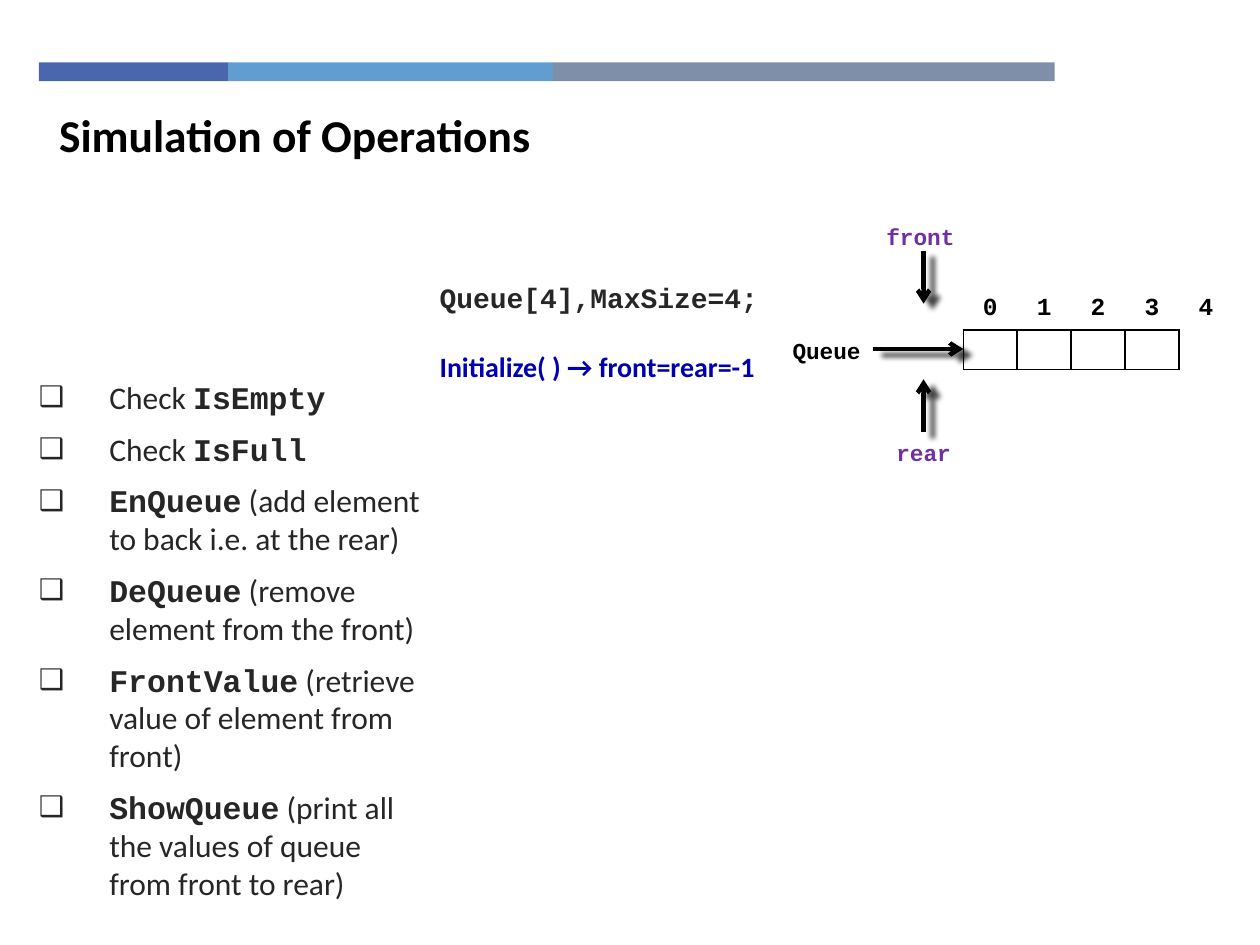
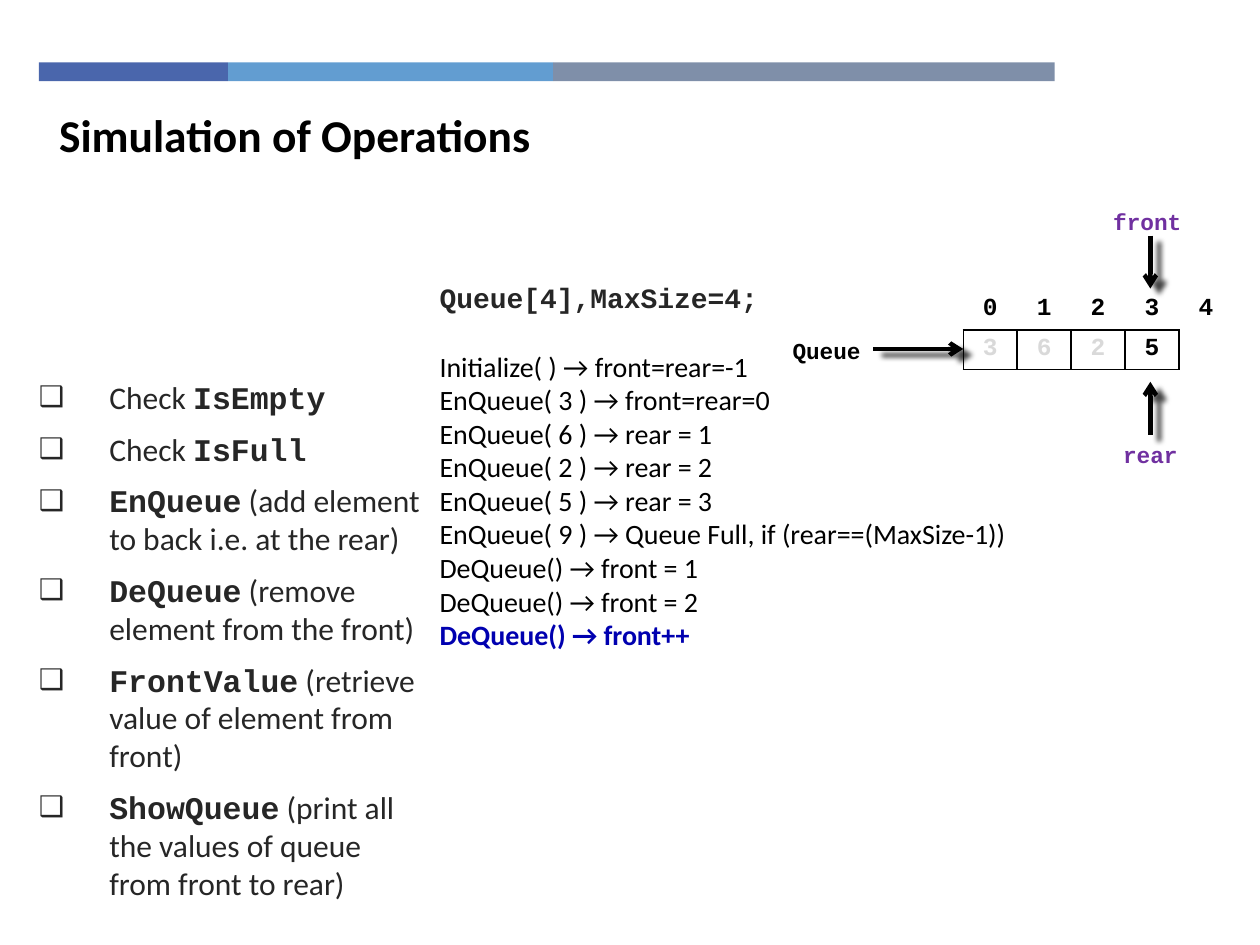
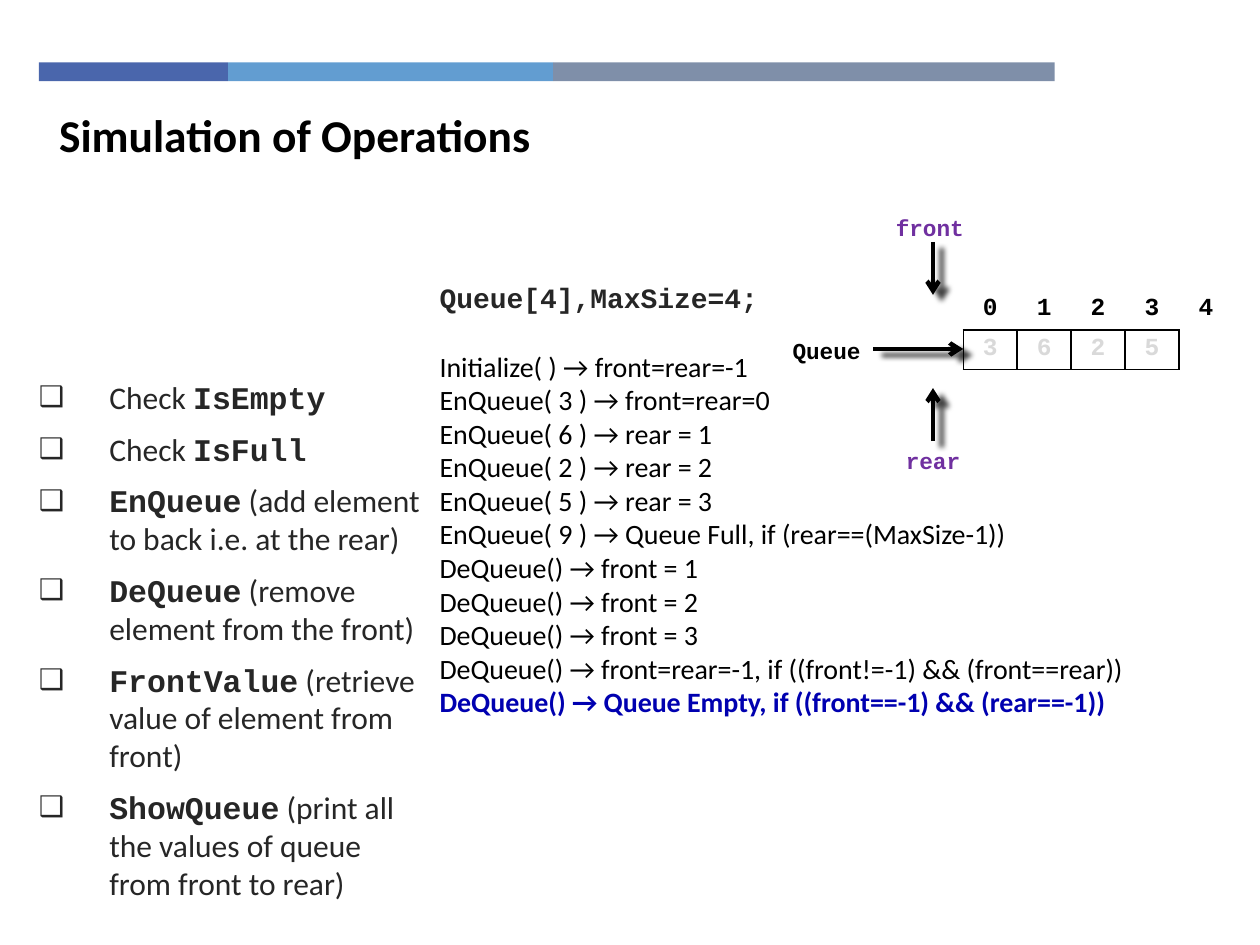
"""Build three slides that simulate the operations of an array queue."""

from lxml.etree import SubElement
from pptx import Presentation
from pptx.dml.color import RGBColor
from pptx.enum.shapes import MSO_CONNECTOR, MSO_SHAPE
from pptx.enum.text import PP_ALIGN
from pptx.oxml import parse_xml
from pptx.oxml.ns import qn
from pptx.util import Inches, Pt

COLORS = {
    "royal": "4A66AC", "sky": "629DD1", "slate": "7F8FA9", "black": "000000",
    "body": "262626", "current": "0000B0", "pointer": "7030A0", "removed": "D9D9D9",
}
CODE = "Courier New"
DRAWING = "http://schemas.openxmlformats.org/drawingml/2006/main"
ARROW_SHADOW = (
    f'<a:effectLst xmlns:a="{DRAWING}">'
    '<a:outerShdw blurRad="38100" dist="76200" dir="2100000" algn="ctr" rotWithShape="0">'
    f'<a:srgbClr val="{COLORS["black"]}"><a:alpha val="75000"/></a:srgbClr>'
    '</a:outerShdw></a:effectLst>'
)

BANDS = [("royal", 15), ("sky", 25.8), ("slate", 39.8)]
OPERATIONS = [
    [("Check ", False), ("IsEmpty", True)],
    [("Check ", False), ("IsFull", True)],
    [("EnQueue", True), (" (add element to back i.e. at the rear)", False)],
    [("DeQueue", True), (" (remove element from the front)", False)],
    [("FrontValue", True), (" (retrieve value of element from front)", False)],
    [("ShowQueue", True), (" (print all the values of queue from front to rear)", False)],
]
HISTORY = [
    "Initialize( ) → front=rear=-1",
    "EnQueue( 3 ) → front=rear=0",
    "EnQueue( 6 ) → rear = 1",
    "EnQueue( 2 ) → rear = 2",
    "EnQueue( 5 ) → rear = 3",
    "EnQueue( 9 ) → Queue Full, if (rear==(MaxSize-1))",
    "DeQueue() → front = 1",
    "DeQueue() → front = 2",
    "DeQueue() → front = 3",
    "DeQueue() → front=rear=-1, if ((front!=-1) && (front==rear))",
]
STEPS = [
    dict(done=0, current=HISTORY[0], values="", removed=0,
         pointer=73.3, front=17.2, rear=34.3, trace_rows=50.7),
    dict(done=8, current="DeQueue() → front++", values="3625", removed=3,
         pointer=91.3, front=16, rear=34.5, trace_rows=50.7),
    dict(done=10, current="DeQueue() → Queue Empty, if ((front==-1) && (rear==-1))",
         values="3625", removed=4, pointer=74.05, front=16.5, rear=35, trace_rows=62.7),
]
CAPACITY = 4
SLOT, ROW = 4.28, 3
TABLE_LEFT, TABLE_TOP = 76.45, 23.05


def cells(*counts):
    """Convert counts of grid cells, 100 columns by 75 rows, to lengths."""
    return [Inches(count / 10) for count in counts]


def write(paragraph, text, size=16, font="Calibri", color="black", bold=False,
          align=PP_ALIGN.LEFT, before=0, after=0):
    """Add formatted text to a paragraph, with a line break at each newline."""
    paragraph.alignment = align
    paragraph.space_before, paragraph.space_after = Pt(before), Pt(after)
    if not text:
        SubElement(paragraph._p, qn("a:endParaRPr")).set("sz", str(size * 100))
        return
    for number, line in enumerate(text.split("\n")):
        if number:
            paragraph.add_line_break()
        run = paragraph.add_run()
        run.text = line
        run.font.size, run.font.name, run.font.bold = Pt(size), font, bold
        run.font.color.rgb = RGBColor.from_string(COLORS[color])


deck = Presentation()
deck.slide_width, deck.slide_height = cells(100, 75)

for step in STEPS:
    slide = deck.slides.add_slide(deck.slide_layouts[6])
    shapes = slide.shapes

    band_left = 3.1
    for color, width in BANDS:
        band = shapes.add_shape(MSO_SHAPE.RECTANGLE, *cells(band_left, 4.95, width, 1.5))
        band.shadow.inherit = False
        band.fill.solid()
        band.fill.fore_color.rgb = RGBColor.from_string(COLORS[color])
        band.line.fill.background()
        band_left += width

    trace = shapes.add_textbox(*cells(33.9, 10.9, 63.5, step["trace_rows"])).text_frame
    trace.word_wrap = True
    trace.margin_top = cells(11.36)[0]
    write(trace.paragraphs[0], "Queue[4],MaxSize=4;", font=CODE, color="body", bold=True)
    calls = trace.add_paragraph()
    if step["done"]:
        write(calls, "\n".join(HISTORY[:step["done"]]), before=20)
        calls.add_line_break()
    write(calls, step["current"], color="current", bold=True, before=20)

    operations = shapes.add_textbox(*cells(2.1, 29.5, 32.3, 45)).text_frame
    operations.word_wrap = True
    for number, parts in enumerate(OPERATIONS):
        operation = operations.add_paragraph() if number else operations.paragraphs[0]
        for text, is_code in parts:
            write(operation, text, size=18, font=CODE if is_code else "Calibri",
                  color="body", bold=is_code, before=4, after=4)
        indent = operation._p.get_or_add_pPr()
        hang = cells(5.6)[0]
        indent.set("marL", str(hang))
        indent.set("indent", str(-hang))
        SubElement(indent, qn("a:buSzPct")).set("val", "90000")
        SubElement(indent, qn("a:buFont")).set("typeface", "Calibri")
        SubElement(indent, qn("a:buChar")).set("char", "❑")

    queue = shapes.add_table(2, CAPACITY + 1, *cells(
        TABLE_LEFT, TABLE_TOP, SLOT * (CAPACITY + 1), 2 * ROW)).table
    queue.first_row = queue.horz_banding = False
    for row in queue.rows:
        row.height = cells(ROW)[0]
    for index in range(CAPACITY + 1):
        value = step["values"][index:index + 1]
        shade = "removed" if index < step["removed"] else "black"
        for row, (text, color) in enumerate([(str(index), "black"), (value, shade)]):
            slot = queue.cell(row, index)
            slot.margin_left, slot.margin_right = cells(0.7, 0.7)
            slot.margin_top, slot.margin_bottom = cells(0.4, 0.4)
            write(slot.text_frame.paragraphs[0], text, size=14, font=CODE,
                  color=color, bold=True, align=PP_ALIGN.CENTER)
            if index == CAPACITY:
                sides = ["lnL"] if row else []
            else:
                sides = ["lnL", "lnR", "lnT", "lnB"] if row else ["lnB"]
            for side in sides:
                border = SubElement(slot._tc.get_or_add_tcPr(), qn(f"a:{side}"))
                border.set("w", str(Pt(1)))
                ink = SubElement(border, qn("a:solidFill"))
                SubElement(ink, qn("a:srgbClr")).set("val", COLORS["black"])
            slot.fill.background()

    pointer, front, rear = step["pointer"], step["front"], step["rear"]
    pointer_label = dict(size=13, font=CODE, color="pointer", bold=True, align=PP_ALIGN.CENTER)
    labels = [
        ("rear", (pointer - 3.15, rear, 6.3, 3.2), pointer_label),
        ("front", (pointer - 4.05, front, 7.6, 3.2), pointer_label),
        ("Queue", (61.9, 26.2, 7.4, 3.2), {**pointer_label, "color": "black"}),
        ("Simulation of Operations", (3.7, 8, 77.5, 10.1), dict(size=26, bold=True)),
    ]
    for text, box, style in labels:
        label = shapes.add_textbox(*cells(*box)).text_frame
        label.word_wrap = "align" not in style
        write(label.paragraphs[0], text, **style)

    arrows = [
        (pointer, rear, pointer, rear - 4.2),
        (pointer, front + 2.7, pointer, front + 6.9),
        (69.3, 27.7, TABLE_LEFT, 27.7),
    ]
    for ends in arrows:
        arrow = shapes.add_connector(MSO_CONNECTOR.STRAIGHT, *cells(*ends))
        arrow.line.width = Pt(2.5)
        arrow.line.color.rgb = RGBColor.from_string(COLORS["black"])
        SubElement(arrow.line._ln, qn("a:tailEnd")).set("type", "arrow")
        arrow._element.spPr.append(parse_xml(ARROW_SHADOW))

deck.save("out.pptx")
